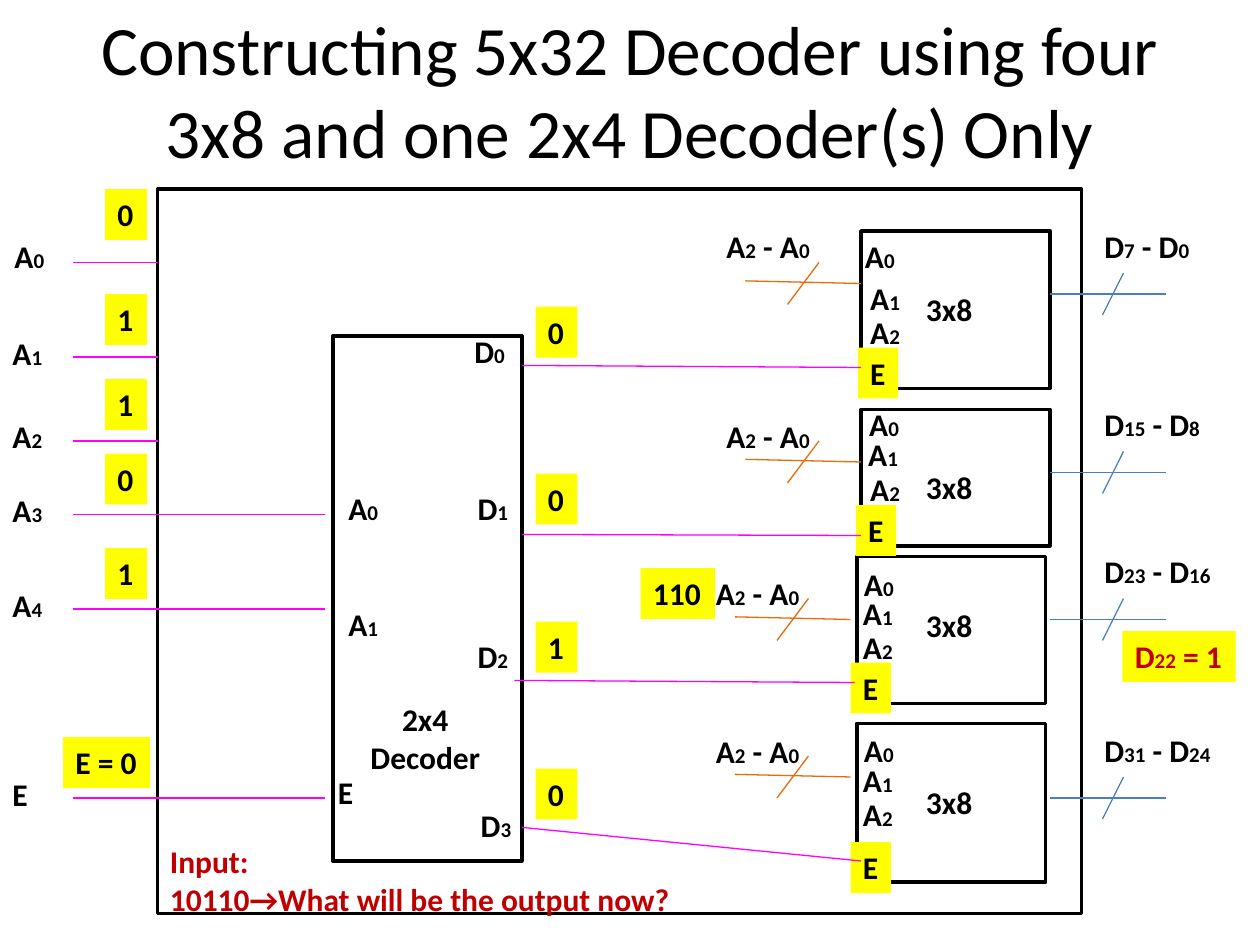
import pptx
import pptx.dml.color
import pptx.enum.shapes
import pptx.enum.text
import pptx.oxml.ns
import pptx.util
from lxml import etree

CELL = pptx.util.Inches(1) / 12  # the slide is a grid of 120 columns by 90 rows
MAGENTA, BLUE, ORANGE = "FF00FF", "4B7EBC", "E46C0A"
BLACK, RED, YELLOW = "000000", "C00000", "FFFF00"
color = pptx.dml.color.RGBColor.from_string

deck = pptx.Presentation()
deck.slide_width, deck.slide_height = int(120 * CELL), int(90 * CELL)
slide = deck.slides.add_slide(deck.slide_layouts[5])


def write(text, col, row, cols=5.4, rows=4.85, ink=BLACK, fill=None, wrap=False, align="LEFT"):
    """Add a bold label; parts between ~ marks are set small, as indices."""
    label = slide.shapes.add_textbox(*(int(n * CELL) for n in (col, row, cols, rows)))
    if fill:
        label.fill.solid()
        label.fill.fore_color.rgb = color(fill)
    frame = label.text_frame
    frame.word_wrap = wrap
    frame.auto_size = pptx.enum.text.MSO_AUTO_SIZE.SHAPE_TO_FIT_TEXT
    for number, line in enumerate(text.split("\n")):
        paragraph = frame.add_paragraph() if number else frame.paragraphs[0]
        paragraph.alignment = pptx.enum.text.PP_ALIGN[align]
        for order, part in enumerate(line.split("~")):
            run = paragraph.add_run()
            run.text = part
            run.font.size = pptx.util.Pt(12 if order % 2 else 18)
            run.font.name = "Calibri"
            run.font.bold = True
            run.font.color.rgb = color(ink)


def wire(ink, *ends):
    """Draw a thin line; ends are col, row, col, row."""
    line = slide.shapes.add_connector(
        pptx.enum.shapes.MSO_CONNECTOR.STRAIGHT, *(int(n * CELL) for n in ends))
    line.line.color.rgb = color(ink)
    line.line.width = pptx.util.Pt(0.75)
    etree.SubElement(line._element.spPr, pptx.oxml.ns.qn("a:effectLst"))


title = slide.shapes.title
title.left, title.top, title.width, title.height = (int(n * CELL) for n in (6, 1, 108, 15))
title.text = "Constructing 5x32 Decoder using four 3x8 and one 2x4 Decoder(s) Only"
title.text_frame.auto_size = pptx.enum.text.MSO_AUTO_SIZE.NONE
title.text_frame.vertical_anchor = pptx.enum.text.MSO_ANCHOR.MIDDLE
heading = title.text_frame.paragraphs[0]
heading.alignment = pptx.enum.text.PP_ALIGN.CENTER
heading.font.size = pptx.util.Pt(39.6)
heading.font.name = "Calibri"
heading.font.color.rgb = color(BLACK)

# Outer 5x32 block, the 2x4 decoder, then the four 3x8 decoders
for block in [(15, 18, 88, 69), (31.7, 32, 18, 50), (82, 22, 18, 15),
              (82, 39, 18, 13), (81.6, 53, 18, 14), (81.6, 68.9, 18, 15.1)]:
    outline = slide.shapes.add_shape(
        pptx.enum.shapes.MSO_SHAPE.RECTANGLE, *(int(n * CELL) for n in block))
    outline.shadow.inherit = False
    outline.fill.background()
    outline.line.color.rgb = color(BLACK)
    outline.line.width = pptx.util.Pt(2)

# External inputs: name, name position, wire row, wire end, bit row
for name, col, name_row, row, end, bit, bit_row in [
        ("A~0", 0.2, 22, 25, 15, "0", 18),
        ("A~1", 0, 31.2, 34, 15, "1", 28),
        ("A~2", 0, 39.1, 42, 15, "1", 36.1),
        ("A~3", 0, 46.2, 49, 31, "0", 43.2),
        ("A~4", 0, 55.2, 58, 31, "1", 52.2)]:
    wire(MAGENTA, 7, row, end, row)
    write(name, col, name_row)
    write(bit, 10, bit_row, 4, fill=YELLOW)
wire(MAGENTA, 7, 76, 31, 76)
write("E", 0, 73.2, 3.85)
write("E = 0", 6, 70.2, 8.3, fill=YELLOW)

# 2x4 decoder: inputs and caption
write("A~0", 32, 46)
write("A~1", 32, 57)
write("E", 31, 73, 3.85)
write("2x4\nDecoder", 34, 66.1, 13, 8.5, align="CENTER")

# 2x4 outputs: index position, bit, bit row, enable wire
for index, (col, row, bit, bit_row, enable) in enumerate([
        (44, 31, "0", 29.2, (49.7, 34.8, 82, 35)),
        (44.3, 46, "0", 45.1, (49.7, 50.9, 82, 51)),
        (44.3, 60.1, "1", 59.2, (49, 64.8, 81.4, 65)),
        (44.6, 76.2, "0", 73.2, (49.7, 78.8, 82, 82))]):
    write(f"D~{index}", col, row)
    write(bit, 51, bit_row, 4, fill=YELLOW)
    # E labels lie under the enable wires
    e_col, e_row = [(81.7, 33.1), (81.5, 48.1), (81, 63.1), (81, 80.2)][index]
    write("E", e_col, e_row, 3.85, fill=YELLOW)
    wire(MAGENTA, *enable)

# 3x8 decoders: address pins, caption row, bus end, bus row, bus label row, output row
for index, (pins, caption_row, end, bus, bus_label, out) in enumerate([
        ([(81.2, 22), (81.7, 26), (81.7, 29.2)], 27, 82, 27, 21, 28),
        ([(81.6, 38), (81.5, 40.8), (81.7, 44.2)], 44, 82, 44, 39.1, 45),
        ([(81.1, 53.2), (81, 56), (81, 59.2)], 57.1, 81, 59, 54.1, 59),
        ([(81.1, 69), (81, 71.9), (81, 75.1)], 74, 81, 74, 69.1, 76)]):
    for pin, place in enumerate(pins):
        write(f"A~{pin}", *place)
    write("3x8", 87, caption_row, 6.8)
    wire(ORANGE, end - 11, bus - 0.25, end, bus)
    wire(ORANGE, end - 4, bus - 2, end - 7, bus + 2)
    write("A~2~ - A~0", end - 14, bus_label, 13, wrap=True)
    wire(BLUE, 100, out, 111, out)
    wire(BLUE, 107, out - 2, 105, out + 2)
    write(f"D~{8 * index + 7}~ - D~{8 * index}", 104, out - 7, 13, wrap=True)

# Worked example
write("110", 61, 54.1, 7.1, fill=YELLOW)
write("D~22~ = 1", 106.9, 60.1, 10.8, ink=RED, fill=YELLOW)
write("Input:\n10110→What will be the output now?", 15, 79.6, 64, 8.5, ink=RED, wrap=True)

deck.save("out.pptx")
